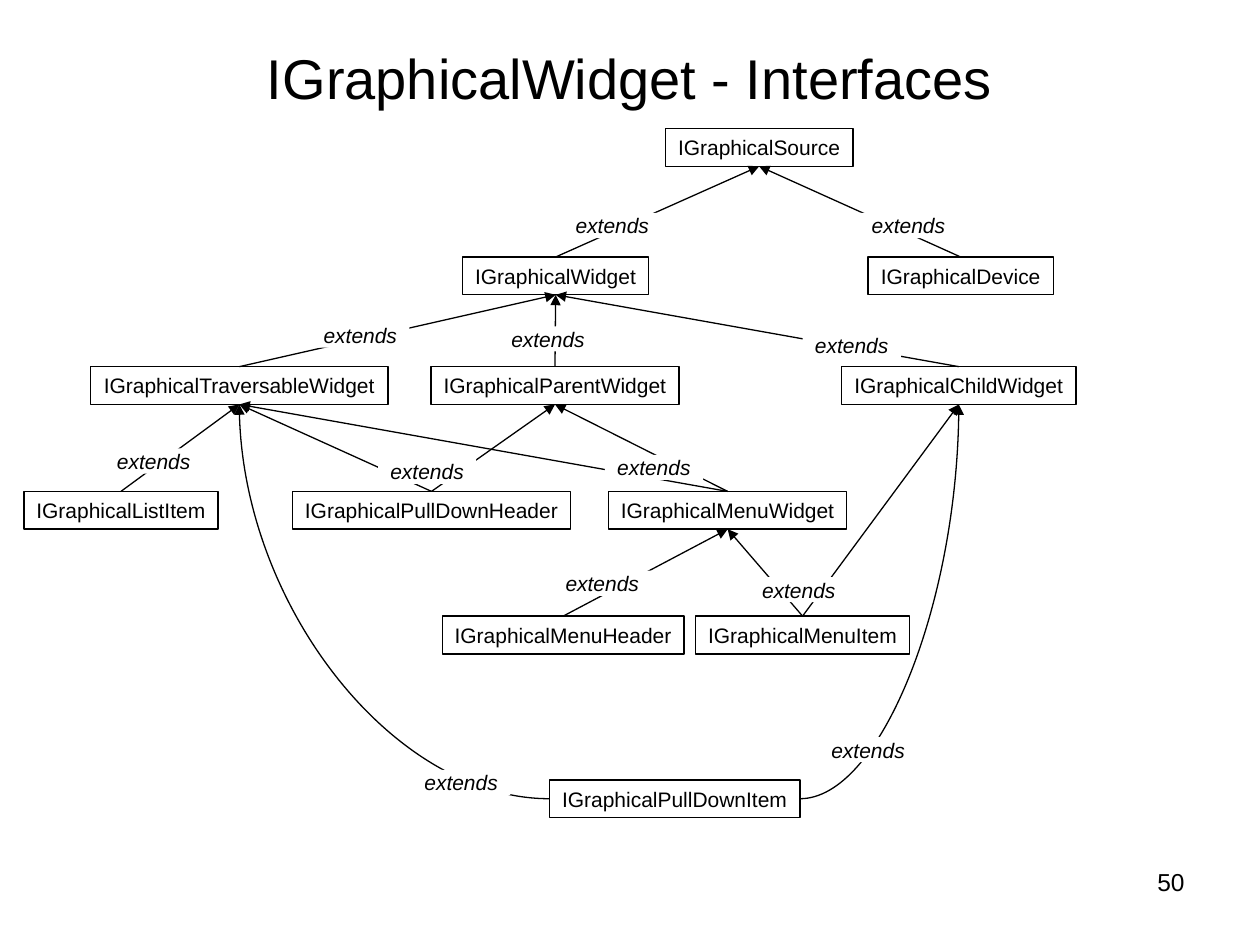
import pptx
import pptx.util
import pptx.dml.color
import pptx.enum.shapes
import pptx.enum.text
import pptx.oxml
import pptx.oxml.ns

Inches = pptx.util.Inches
KIND = pptx.enum.shapes.MSO_CONNECTOR
ALIGN = pptx.enum.text.PP_ALIGN
ANCHOR = pptx.enum.text.MSO_ANCHOR

# Content
TITLE = "IGraphicalWidget - Interfaces"
PAGE = "50"
LABEL = "extends"

# Rows of interfaces: top, then (name, left, width)
ROWS = [
    (1.02, [("IGraphicalSource", 5.28, 1.49)]),
    (2.04, [("IGraphicalWidget", 3.67, 1.48),
            ("IGraphicalDevice", 6.89, 1.47)]),
    (2.91, [("IGraphicalTraversableWidget", 0.72, 2.36),
            ("IGraphicalParentWidget", 3.42, 1.97),
            ("IGraphicalChildWidget", 6.68, 1.86)]),
    (3.9, [("IGraphicalListItem", 0.19, 1.54),
           ("IGraphicalPullDownHeader", 2.32, 2.21),
           ("IGraphicalMenuWidget", 4.83, 1.89)]),
    (4.89, [("IGraphicalMenuHeader", 3.51, 1.92),
            ("IGraphicalMenuItem", 5.52, 1.7)]),
    (6.19, [("IGraphicalPullDownItem", 4.36, 1.99)]),
]

# Child, parent and the side where the link leaves the child
TOP, LEFT, BOTTOM, RIGHT = range(4)
LINKS = [
    ("Widget", "Source", TOP),
    ("Device", "Source", TOP),
    ("TraversableWidget", "Widget", TOP),
    ("ParentWidget", "Widget", TOP),
    ("ChildWidget", "Widget", TOP),
    ("ListItem", "TraversableWidget", TOP),
    ("PullDownHeader", "TraversableWidget", TOP),
    ("PullDownHeader", "ParentWidget", TOP),
    ("MenuWidget", "ParentWidget", TOP),
    ("MenuWidget", "TraversableWidget", TOP),
    ("MenuHeader", "MenuWidget", TOP),
    ("MenuItem", "MenuWidget", TOP),
    ("MenuItem", "ChildWidget", TOP),
    ("PullDownItem", "TraversableWidget", LEFT),
    ("PullDownItem", "ChildWidget", RIGHT),
]

# Left and top of each link label
LABELS = [(4.47, 1.69), (6.82, 1.69), (2.47, 2.56), (3.96, 2.59), (6.37, 2.64),
          (0.83, 3.56), (3, 3.64), (4.8, 3.61), (4.39, 4.53), (5.95, 4.58),
          (6.5, 5.85), (3.27, 6.11)]

THEME = {
    "font": "Arial",
    "ink": pptx.dml.color.RGBColor(0, 0, 0),
    "paper": pptx.dml.color.RGBColor(255, 255, 255),
    "title": 32, "page": 14, "body": 12, "line": 0.75,
}
BOX_H, LABEL_W, LABEL_H = 0.3, 0.78, 0.2
PAD = 0.08  # side margin that leaves each name room on one line

deck = pptx.Presentation()
deck.slide_width, deck.slide_height = Inches(10), Inches(7.5)
slide = deck.slides.add_slide(deck.slide_layouts[6])
shapes = slide.shapes


def write(shape, text, size, align=ALIGN.CENTER, anchor=ANCHOR.TOP, slant=None):
    frame = shape.text_frame
    frame.text = text
    frame.word_wrap = True
    frame.vertical_anchor = anchor
    para = frame.paragraphs[0]
    para.alignment = align
    font = para.runs[0].font
    font.name, font.size, font.italic = THEME["font"], pptx.util.Pt(size), slant
    font.color.rgb = THEME["ink"]
    return frame


def stroke(line):
    line.color.rgb = THEME["ink"]
    line.width = pptx.util.Pt(THEME["line"])


def block(text, left, top, width, height, slant=None):
    """A white rectangle that fits its one line of text."""
    box = shapes.add_shape(pptx.enum.shapes.MSO_SHAPE.RECTANGLE,
                           *map(Inches, (left, top, width, height)))
    box.shadow.inherit = False
    box.fill.solid()
    box.fill.fore_color.rgb = THEME["paper"]
    box.line.fill.background()
    frame = write(box, text, THEME["body"], slant=slant)
    frame.word_wrap = False
    frame.margin_left = frame.margin_right = Inches(PAD)
    frame.auto_size = pptx.enum.text.MSO_AUTO_SIZE.SHAPE_TO_FIT_TEXT
    return box


def port(box, side):
    """The middle of one side of a box."""
    x, y, w, h = box.left, box.top, box.width, box.height
    return [(x + w // 2, y), (x, y + h // 2),
            (x + w // 2, y + h), (x + w, y + h // 2)][side]


def link(child, parent, side):
    bent = side != TOP
    wire = shapes.add_connector(KIND.CURVE if bent else KIND.STRAIGHT,
                                *port(child, side), *port(parent, BOTTOM))
    wire.begin_connect(child, side)
    wire.end_connect(parent, BOTTOM)
    stroke(wire.line)
    props = wire._element.spPr
    if bent:  # a single quarter bend
        props.find(pptx.oxml.ns.qn("a:prstGeom")).set("prst", "curvedConnector2")
    ns = pptx.oxml.ns.nsdecls("a")
    wire.line._get_or_add_ln().append(
        pptx.oxml.parse_xml(f'<a:tailEnd {ns} type="triangle"/>'))
    props.append(pptx.oxml.parse_xml(f"<a:effectLst {ns}/>"))


# Title
head = shapes.add_textbox(*map(Inches, (0.5, 0.3, 9, 0.62)))
write(head, TITLE, THEME["title"], anchor=ANCHOR.MIDDLE)

# Interfaces
boxes = {}
for top, row in ROWS:
    for name, left, width in row:
        box = block(name, left, top, width, BOX_H)
        stroke(box.line)
        boxes[name] = box

# Links from child to parent
for child, parent, side in LINKS:
    link(boxes["IGraphical" + child], boxes["IGraphical" + parent], side)

# Link labels, laid over the lines
for left, top in LABELS:
    tag = block(LABEL, left, top, LABEL_W, LABEL_H, slant=True)
    tag.text_frame.margin_top = tag.text_frame.margin_bottom = 0

# Page number
foot = shapes.add_textbox(*map(Inches, (7.75, 6.83, 1.75, 0.52)))
write(foot, PAGE, THEME["page"], align=ALIGN.RIGHT)

deck.save("out.pptx")
